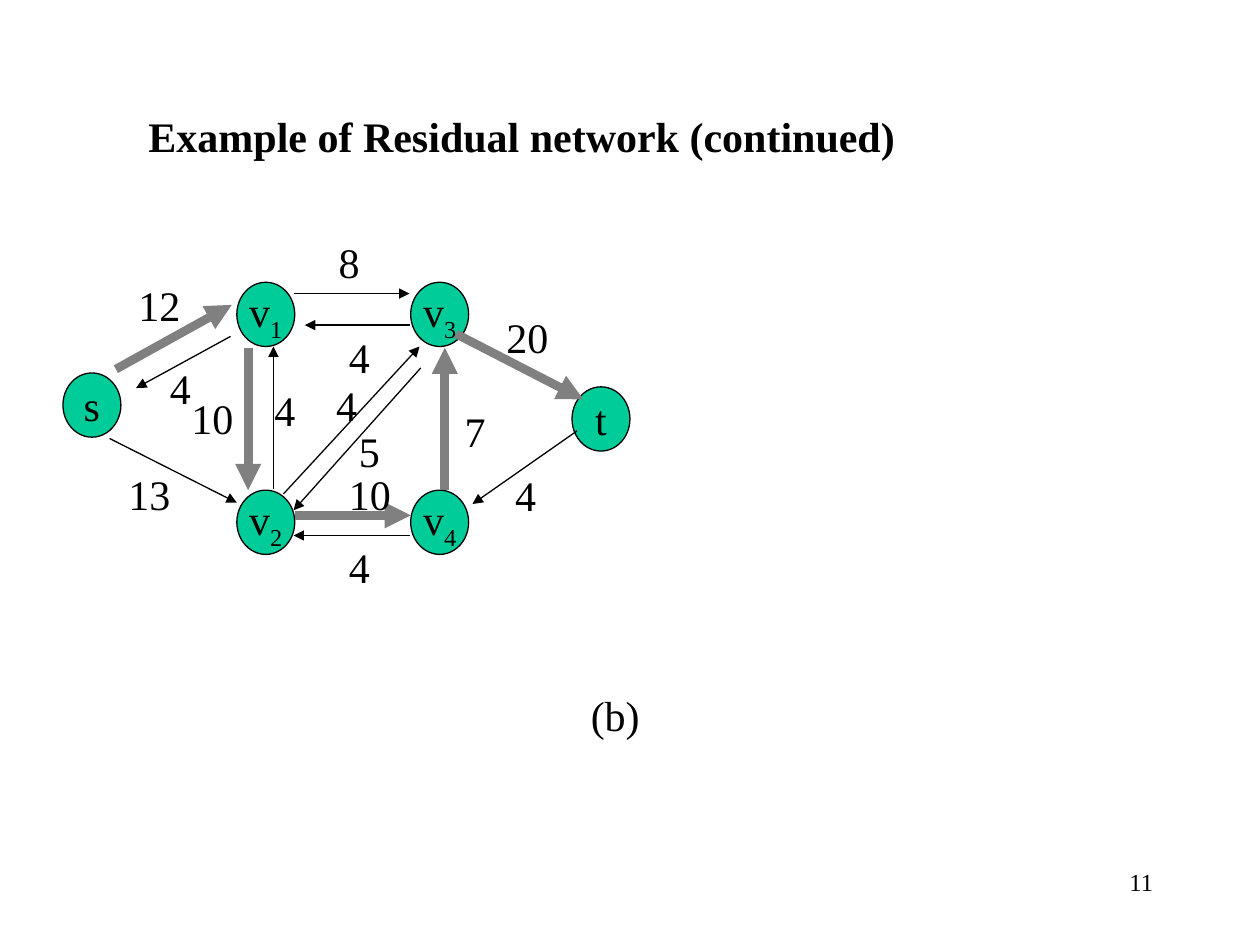
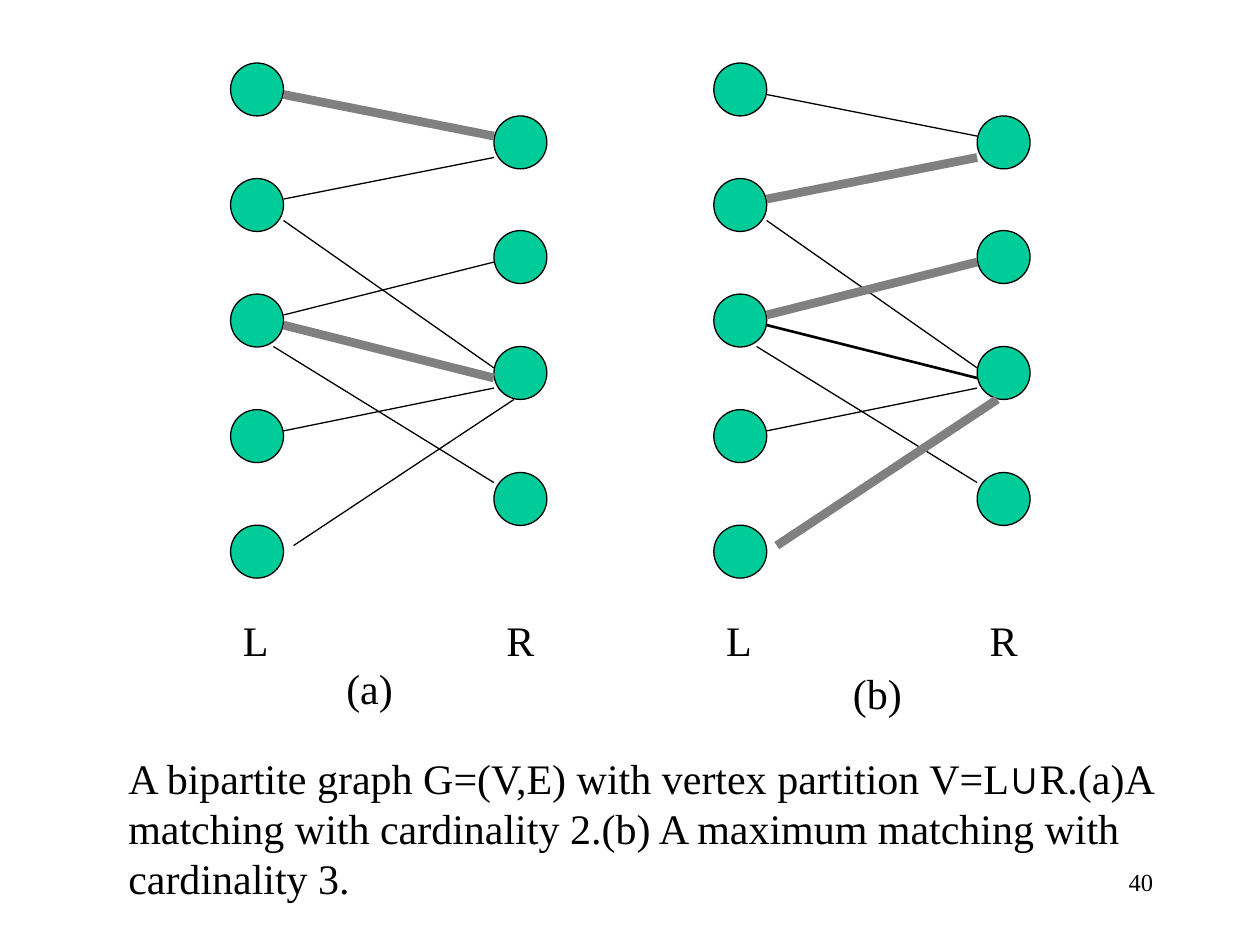
from dataclasses import dataclass

from lxml import etree
from pptx import Presentation
from pptx.dml.color import RGBColor
from pptx.enum.shapes import MSO_CONNECTOR, MSO_SHAPE
from pptx.enum.text import MSO_ANCHOR, PP_ALIGN
from pptx.oxml.ns import qn
from pptx.util import Inches, Pt

LEFT, CENTER, RIGHT = PP_ALIGN.LEFT, PP_ALIGN.CENTER, PP_ALIGN.RIGHT
TOP, MIDDLE = MSO_ANCHOR.TOP, MSO_ANCHOR.MIDDLE
OVAL, STRAIGHT = MSO_SHAPE.OVAL, MSO_CONNECTOR.STRAIGHT


@dataclass(frozen=True)
class Theme:
    ink: RGBColor = RGBColor(0x00, 0x00, 0x00)
    node: RGBColor = RGBColor(0x00, 0xCC, 0x99)
    strong: RGBColor = RGBColor(0x80, 0x80, 0x80)
    font: str = "Times New Roman"
    symbol_font: str = "Arial"
    body_size: int = 24
    page_size: int = 14
    thin: float = 0.75
    medium: float = 1.5
    thick: float = 5


THEME = Theme()
THIN = (THEME.ink, THEME.thin)
MEDIUM = (THEME.ink, THEME.medium)
THICK = (THEME.strong, THEME.thick)

# Residual network: vertex positions, edges and capacities
NODE_WIDTH, NODE_HEIGHT = 0.46, 0.51
VERTICES = [
    ("s", "", 0.5, 2.96),
    ("v", "1", 1.88, 2.24),
    ("v", "2", 1.88, 3.89),
    ("v", "3", 3.26, 2.24),
    ("v", "4", 3.26, 3.89),
    ("t", "", 4.54, 3.07),
]
RESIDUAL_EDGES = [
    ((1.83, 2.67), (1.08, 3.08), THIN),
    ((0.92, 2.93), (1.84, 2.42), THICK),
    ((2.33, 2.33), (3.25, 2.33), THIN),
    ((3.62, 2.65), (4.63, 3.17), THICK),
    ((0.87, 3.48), (1.88, 3.99), THIN),
    ((2.34, 4.09), (3.26, 4.09), THICK),
    ((1.97, 2.76), (1.97, 3.89), THICK),
    ((2.17, 3.88), (2.17, 2.75), THIN),
    ((3.53, 3.89), (3.53, 2.76), THICK),
    ((3.34, 2.92), (2.33, 4.05), THIN),
    ((3.25, 2.58), (2.42, 2.58), THIN),
    ((2.25, 3.92), (3.33, 2.75), THIN),
    ((3.25, 4.25), (2.33, 4.25), THIN),
    ((4.58, 3.42), (3.75, 4), THIN),
]
CAPACITIES = [
    ("5", 2.75, 3.33), ("12", 1, 2.17), ("13", 0.92, 3.67), ("8", 2.59, 1.83),
    ("10", 1.42, 3.07), ("4", 2.08, 3), ("20", 3.92, 2.42), ("4", 3.99, 3.68),
    ("7", 3.59, 3.17), ("4", 2.67, 4.25), ("4", 1.25, 2.83), ("4", 2.67, 2.58),
    ("4", 2.57, 2.96), ("10", 2.67, 3.67),
]

# Bipartite graph: both panels share vertices and edges
DISC = 0.42
LEFT_X, RIGHT_X = 1.83, 3.92
LEFT_ROWS = [0.5 + 0.917 * row for row in range(5)]
RIGHT_ROWS = [0.92, 1.83, 2.75, 3.75]
BIPARTITE_EDGES = [
    ((2.25, 0.75), (3.92, 1.08)),
    ((2.25, 1.58), (3.92, 1.25)),
    ((2.25, 1.75), (3.92, 2.92)),
    ((2.25, 2.5), (3.92, 2.08)),
    ((2.25, 2.58), (3.92, 3)),
    ((2.17, 2.75), (3.92, 3.83)),
    ((2.25, 3.42), (3.92, 3.08)),
    ((2.33, 4.33), (4.08, 3.17)),
]
PANEL_SHIFT = 3.835


def write(frame, text, *, size=THEME.body_size, bold=False, align=LEFT,
          anchor=TOP, wrap=True):
    """Fill a frame with a string, or with (string, font, baseline) spans."""
    frame.word_wrap = wrap
    frame.vertical_anchor = anchor
    para = frame.paragraphs[0]
    para.alignment = align
    spans = [(text, THEME.font, None)] if isinstance(text, str) else text
    for words, font, baseline in spans:
        span = para.add_run()
        span.text = words
        span.font.name = font
        span.font.size = Pt(size)
        span.font.bold = bold
        span.font.color.rgb = THEME.ink
        if baseline:
            span.font._element.set("baseline", str(baseline * 1000))


def add_text(page, text, left, top, width, height=0.5, **text_format):
    box = page.shapes.add_textbox(
        Inches(left), Inches(top), Inches(width), Inches(height))
    write(box.text_frame, text, **text_format)


def add_label(page, text, left, top, width):
    add_text(page, text, left, top, width, wrap=False)


def add_node(page, left, top, width, height):
    node = page.shapes.add_shape(
        OVAL, Inches(left), Inches(top), Inches(width), Inches(height))
    node.shadow.inherit = False
    node.fill.solid()
    node.fill.fore_color.rgb = THEME.node
    node.line.color.rgb = THEME.ink
    node.line.width = Pt(THEME.thin)
    return node


def add_edge(page, start, end, stroke, arrow=False):
    points = [Inches(value) for value in (*start, *end)]
    edge = page.shapes.add_connector(STRAIGHT, *points)
    color, width = stroke
    edge.line.color.rgb = color
    edge.line.width = Pt(width)
    if arrow:
        head = etree.SubElement(edge.line._get_or_add_ln(), qn("a:tailEnd"))
        head.set("type", "triangle")
    etree.SubElement(edge._element.spPr, qn("a:effectLst"))


def add_page(deck, number):
    page = deck.slides.add_slide(deck.slide_layouts[6])
    add_text(page, str(number), 7.17, 6.83, 2.08,
             size=THEME.page_size, align=RIGHT)
    return page


def build_residual_network(deck):
    page = add_page(deck, 11)
    for name, index, left, top in VERTICES:
        node = add_node(page, left, top, NODE_WIDTH, NODE_HEIGHT)
        spans = [(name, THEME.font, None)]
        if index:
            spans.append((index, THEME.font, -25))
        write(node.text_frame, spans, align=CENTER, anchor=MIDDLE, wrap=False)
    for start, end, stroke in RESIDUAL_EDGES:
        add_edge(page, start, end, stroke, arrow=True)
    for capacity, left, top in CAPACITIES:
        add_label(page, capacity, left, top, 0.19 + 0.17 * len(capacity))
    add_label(page, "(b)", 4.59, 5.42, 0.59)
    add_text(page, "Example of Residual network (continued)",
             1.08, 0.83, 7.17, bold=True)


def add_bipartite_panel(page, shift, strokes):
    """Draw one graph; strokes maps an edge number to its emphasis."""
    for column, rows, name in ((LEFT_X, LEFT_ROWS, "L"),
                               (RIGHT_X, RIGHT_ROWS, "R")):
        for top in rows:
            add_node(page, column + shift, top, DISC, DISC)
        add_text(page, name, column + shift, 4.83, DISC)
    for number, ((x1, y1), (x2, y2)) in enumerate(BIPARTITE_EDGES):
        add_edge(page, (x1 + shift, y1), (x2 + shift, y2),
                 strokes.get(number, THIN))


def build_matching(deck):
    page = add_page(deck, 40)
    add_bipartite_panel(page, 0, {0: THICK, 4: THICK})
    add_bipartite_panel(page, PANEL_SHIFT,
                        {1: THICK, 3: THICK, 4: MEDIUM, 7: THICK})
    add_label(page, "(a)", 2.65, 5.21, 0.57)
    add_label(page, "(b)", 6.67, 5.25, 0.59)
    add_text(page, [
        ("A bipartite graph G=(V,E) with vertex partition V=L",
         THEME.font, None),
        ("∪", THEME.symbol_font, None),
        ("R.(a)A matching with cardinality 2.(b) A maximum matching with "
         "cardinality 3.", THEME.font, None),
    ], 0.92, 5.92, 8.5, 1.3)


def main():
    deck = Presentation()
    deck.slide_width, deck.slide_height = Inches(10), Inches(7.5)
    build_residual_network(deck)
    build_matching(deck)
    deck.save("out.pptx")


if __name__ == "__main__":
    main()
